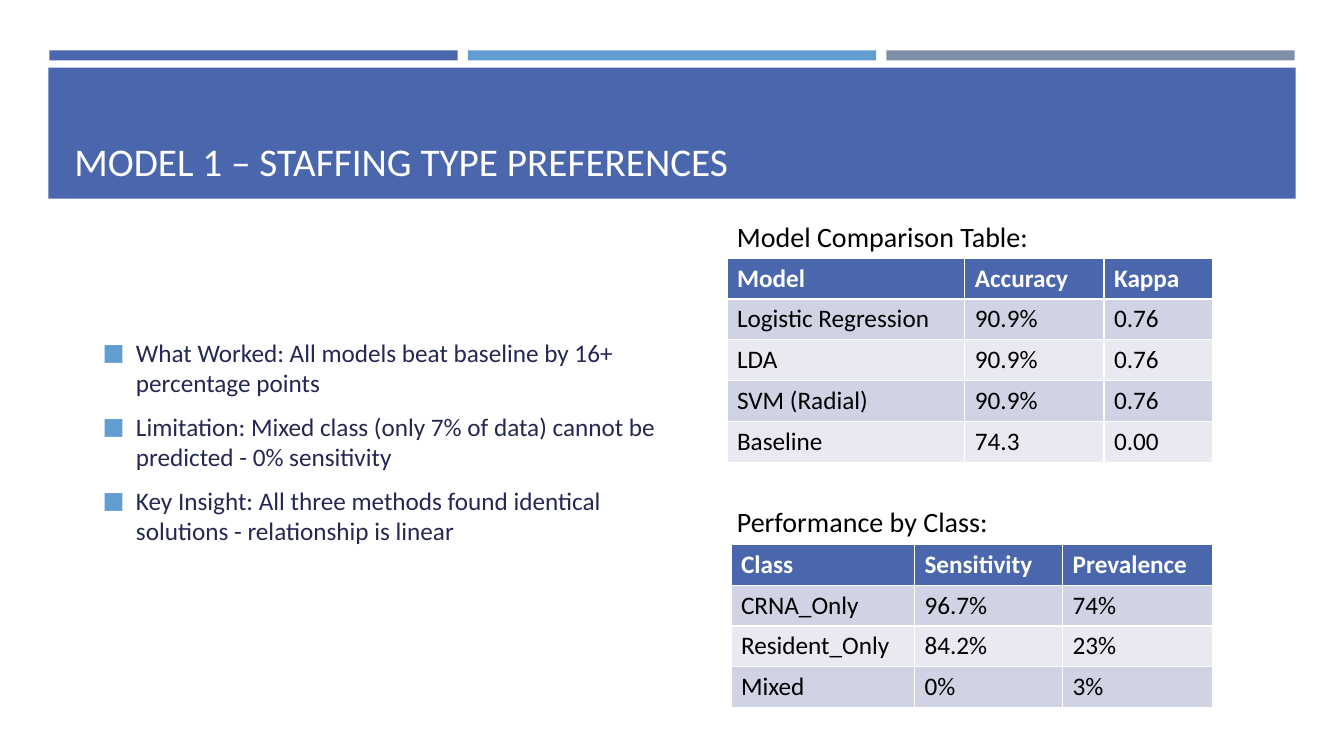
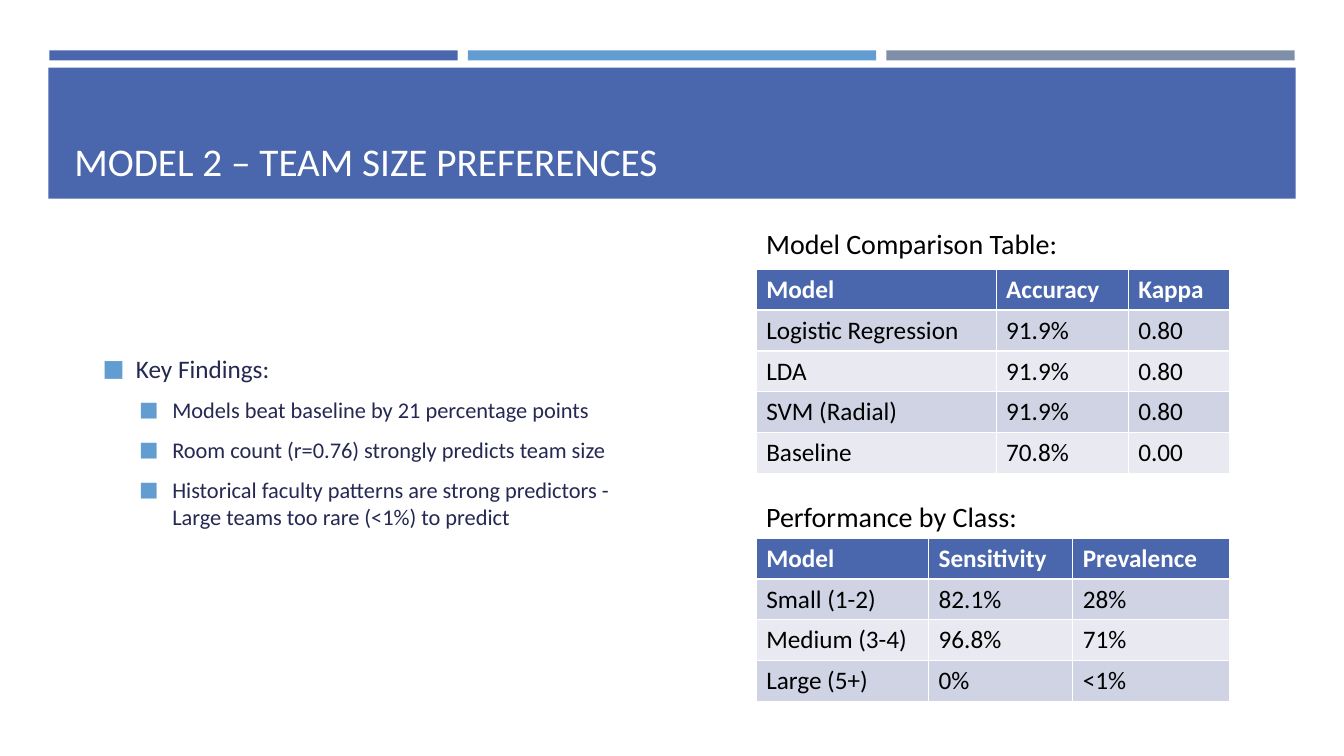
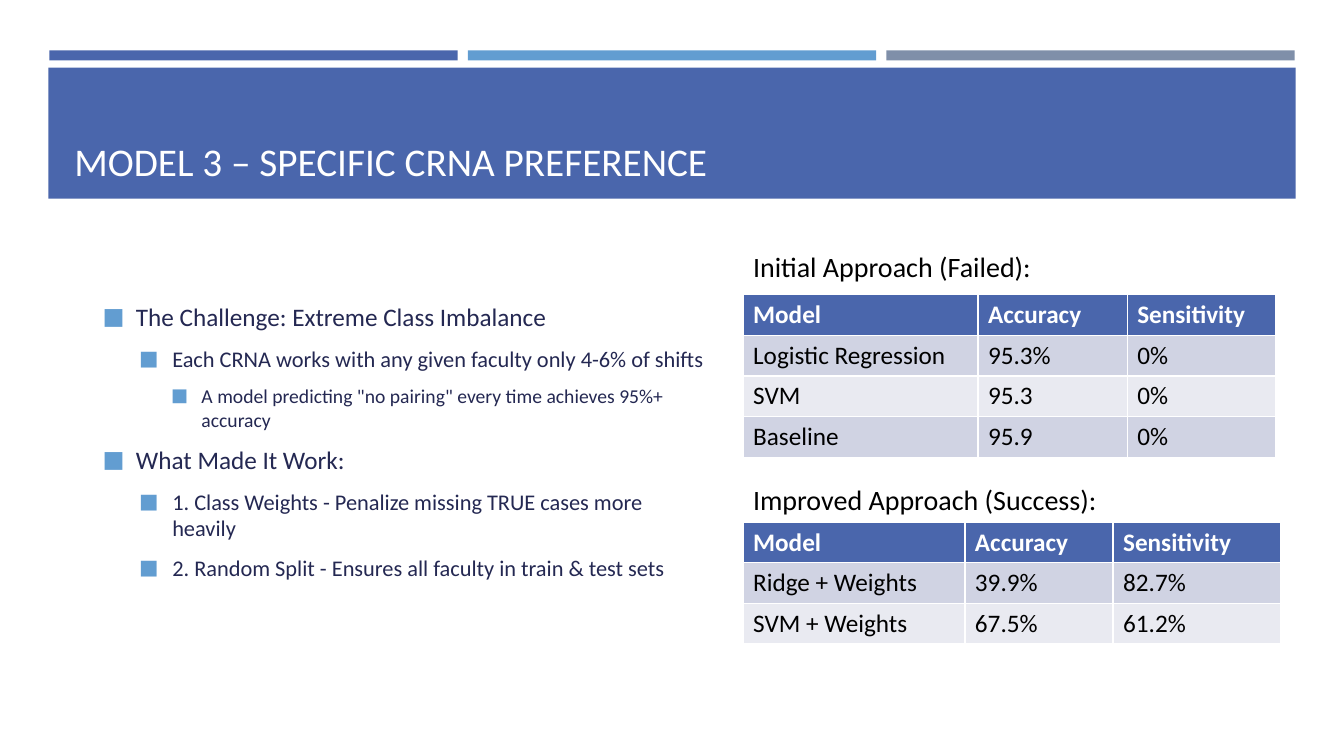
from dataclasses import dataclass

from lxml.etree import SubElement
from pptx import Presentation
from pptx.dml.color import RGBColor
from pptx.enum.shapes import MSO_SHAPE as Preset
from pptx.enum.text import MSO_VERTICAL_ANCHOR as Anchor
from pptx.oxml.ns import qn
from pptx.slide import Slide
from pptx.text.text import TextFrame
from pptx.util import Emu, Pt

EMU_PER_PX = 9144


def px(length: int) -> Emu:
    return Emu(length * EMU_PER_PX)


@dataclass(frozen=True)
class Theme:
    font: str = "Calibri"
    primary: str = "4A66AC"
    accent: str = "629DD1"
    muted: str = "7F8FA9"
    white: str = "FFFFFF"
    black: str = "000000"
    body: str = "242852"
    stripes: tuple[str, str] = ("D0D3E3", "E9EAF1")
    title_size: int = 28
    label_size: int = 20
    table_size: int = 18
    bullet_sizes: tuple[int, ...] = (18, 16, 14)


@dataclass(frozen=True)
class Box:
    left: int
    top: int
    width: int
    height: int

    def emu(self) -> tuple[Emu, Emu, Emu, Emu]:
        return px(self.left), px(self.top), px(self.width), px(self.height)


@dataclass(frozen=True)
class Indent:
    margin: int
    hanging: int


@dataclass(frozen=True)
class Bullet:
    text: str
    level: int = 0


@dataclass(frozen=True)
class ResultTable:
    label: str
    label_box: Box
    left: int
    top: int
    columns: tuple[int, ...]
    rows: tuple[tuple[str, ...], ...]


@dataclass(frozen=True)
class ModelSlide:
    title: str
    bullets_width: int
    bullets: tuple[Bullet, ...]
    tables: tuple[ResultTable, ...]


THEME = Theme()
INDENTS = (Indent(33, 33), Indent(69, 33), Indent(98, 30))
TITLE_BAND = Box(48, 67, 1237, 130)
TITLE_BOX = Box(64, 77, 1206, 111)
STRIP_LEFT, STRIP_TOP, STRIP_WIDTH, STRIP_HEIGHT, STRIP_GAP = 49, 50, 405, 10, 10
BULLETS_LEFT, BULLETS_TOP, BULLETS_HEIGHT = 92, 200, 476
ROW_HEIGHT_TENTHS = 406

MODEL_SLIDES = (
    ModelSlide(
        "MODEL 1 – STAFFING TYPE PREFERENCES",
        575,
        (
            Bullet("What Worked: All models beat baseline by 16+ percentage points"),
            Bullet("Limitation: Mixed class (only 7% of data) cannot be predicted - 0% sensitivity"),
            Bullet("Key Insight: All three methods found identical solutions - relationship is linear"),
        ),
        (
            ResultTable(
                "Model Comparison Table:", Box(721, 213, 329, 44), 721, 256, (236, 138, 108),
                (
                    ("Model", "Accuracy", "Kappa"),
                    ("Logistic Regression", "90.9%", "0.76"),
                    ("LDA", "90.9%", "0.76"),
                    ("SVM (Radial)", "90.9%", "0.76"),
                    ("Baseline", "74.3", "0.00"),
                ),
            ),
            ResultTable(
                "Performance by Class:", Box(721, 496, 293, 44), 725, 540, (182, 147, 149),
                (
                    ("Class", "Sensitivity", "Prevalence"),
                    ("CRNA_Only", "96.7%", "74%"),
                    ("Resident_Only", "84.2%", "23%"),
                    ("Mixed", "0%", "3%"),
                ),
            ),
        ),
    ),
    ModelSlide(
        "MODEL 2 – TEAM SIZE PREFERENCES",
        575,
        (
            Bullet("Key Findings:"),
            Bullet("Models beat baseline by 21 percentage points", 1),
            Bullet("Room count (r=0.76) strongly predicts team size", 1),
            Bullet("Historical faculty patterns are strong predictors - Large teams too rare (<1%) to predict", 1),
        ),
        (
            ResultTable(
                "Model Comparison Table:", Box(750, 220, 329, 44), 750, 267, (238, 131, 101),
                (
                    ("Model", "Accuracy", "Kappa"),
                    ("Logistic Regression", "91.9%", "0.80"),
                    ("LDA", "91.9%", "0.80"),
                    ("SVM (Radial)", "91.9%", "0.80"),
                    ("Baseline", "70.8%", "0.00"),
                ),
            ),
            ResultTable(
                "Performance by Class:", Box(750, 491, 293, 44), 750, 534, (171, 143, 156),
                (
                    ("Model", "Sensitivity", "Prevalence"),
                    ("Small (1-2)", "82.1%", "28%"),
                    ("Medium (3-4)", "96.8%", "71%"),
                    ("Large (5+)", "0%", "<1%"),
                ),
            ),
        ),
    ),
    ModelSlide(
        "MODEL 3 – SPECIFIC CRNA PREFERENCE",
        622,
        (
            Bullet("The Challenge: Extreme Class Imbalance"),
            Bullet("Each CRNA works with any given faculty only 4-6% of shifts", 1),
            Bullet('A model predicting "no pairing" every time achieves 95%+ accuracy', 2),
            Bullet("What Made It Work:"),
            Bullet("1. Class Weights - Penalize missing TRUE cases more heavily", 1),
            Bullet("2. Random Split - Ensures all faculty in train & test sets", 1),
        ),
        (
            ResultTable(
                "Initial Approach (Failed):", Box(737, 243, 315, 44), 737, 292, (233, 148, 147),
                (
                    ("Model", "Accuracy", "Sensitivity"),
                    ("Logistic Regression", "95.3%", "0%"),
                    ("SVM", "95.3", "0%"),
                    ("Baseline", "95.9", "0%"),
                ),
            ),
            ResultTable(
                "Improved Approach (Success):", Box(737, 474, 391, 44), 737, 518, (220, 147, 166),
                (
                    ("Model", "Accuracy", "Sensitivity"),
                    ("Ridge + Weights", "39.9%", "82.7%"),
                    ("SVM + Weights", "67.5%", "61.2%"),
                ),
            ),
        ),
    ),
)


def write_text(paragraph, text: str, *, size: int, color: str, bold: bool = False) -> None:
    run = paragraph.add_run()
    run.text = text
    run.font.name = THEME.font
    run.font.size = Pt(size)
    run.font.bold = bold
    run.font.color.rgb = RGBColor.from_string(color)


def add_text_frame(slide: Slide, box: Box, anchor: Anchor = Anchor.TOP) -> TextFrame:
    text_frame = slide.shapes.add_textbox(*box.emu()).text_frame
    text_frame.word_wrap = True
    text_frame.vertical_anchor = anchor
    return text_frame


def add_rectangle(slide: Slide, box: Box, color: str) -> None:
    shape = slide.shapes.add_shape(Preset.RECTANGLE, *box.emu())
    shape.shadow.inherit = False
    shape.fill.solid()
    shape.fill.fore_color.rgb = RGBColor.from_string(color)
    shape.line.fill.background()


def add_header(slide: Slide, title: str) -> None:
    for index, color in enumerate((THEME.primary, THEME.accent, THEME.muted)):
        left = STRIP_LEFT + index * (STRIP_WIDTH + STRIP_GAP)
        add_rectangle(slide, Box(left, STRIP_TOP, STRIP_WIDTH, STRIP_HEIGHT), color)
    add_rectangle(slide, TITLE_BAND, THEME.primary)
    text_frame = add_text_frame(slide, TITLE_BOX, Anchor.BOTTOM)
    write_text(text_frame.paragraphs[0], title, size=THEME.title_size, color=THEME.white)


def format_bullet(paragraph, level: int) -> None:
    indent = INDENTS[level]
    paragraph.level = level
    paragraph.space_before = Pt(THEME.bullet_sizes[level] * 0.2)
    paragraph.space_after = Pt(6)
    properties = paragraph._p.get_or_add_pPr()
    properties.set("marL", str(px(indent.margin)))
    properties.set("indent", str(-px(indent.hanging)))
    bullet_color = SubElement(properties, qn("a:buClr"))
    SubElement(bullet_color, qn("a:srgbClr"), val=THEME.accent)
    SubElement(properties, qn("a:buSzPct"), val="92000")
    SubElement(properties, qn("a:buFont"), typeface=THEME.font)
    SubElement(properties, qn("a:buChar"), char="■")


def add_bullets(slide: Slide, width: int, bullets: tuple[Bullet, ...]) -> None:
    box = Box(BULLETS_LEFT, BULLETS_TOP, width, BULLETS_HEIGHT)
    text_frame = add_text_frame(slide, box, Anchor.MIDDLE)
    for index, bullet in enumerate(bullets):
        paragraph = text_frame.add_paragraph() if index else text_frame.paragraphs[0]
        format_bullet(paragraph, bullet.level)
        write_text(paragraph, bullet.text, size=THEME.bullet_sizes[bullet.level], color=THEME.body)


def add_result_table(slide: Slide, result: ResultTable) -> None:
    label = add_text_frame(slide, result.label_box)
    write_text(label.paragraphs[0], result.label, size=THEME.label_size, color=THEME.black)
    height = len(result.rows) * ROW_HEIGHT_TENTHS // 10
    box = Box(result.left, result.top, sum(result.columns), height)
    table = slide.shapes.add_table(len(result.rows), len(result.columns), *box.emu()).table
    for column, width in zip(table.columns, result.columns):
        column.width = px(width)
    for row_index, values in enumerate(result.rows):
        is_header = row_index == 0
        fill = THEME.primary if is_header else THEME.stripes[(row_index - 1) % 2]
        for column_index, value in enumerate(values):
            cell = table.cell(row_index, column_index)
            cell.fill.solid()
            cell.fill.fore_color.rgb = RGBColor.from_string(fill)
            write_text(
                cell.text_frame.paragraphs[0],
                value,
                size=THEME.table_size,
                color=THEME.white if is_header else THEME.black,
                bold=is_header,
            )


def main() -> None:
    presentation = Presentation()
    presentation.slide_width = px(1333)
    presentation.slide_height = px(750)
    blank_layout = presentation.slide_layouts[6]
    for model in MODEL_SLIDES:
        slide = presentation.slides.add_slide(blank_layout)
        add_header(slide, model.title)
        add_bullets(slide, model.bullets_width, model.bullets)
        for result in model.tables:
            add_result_table(slide, result)
    presentation.save("out.pptx")


if __name__ == "__main__":
    main()
